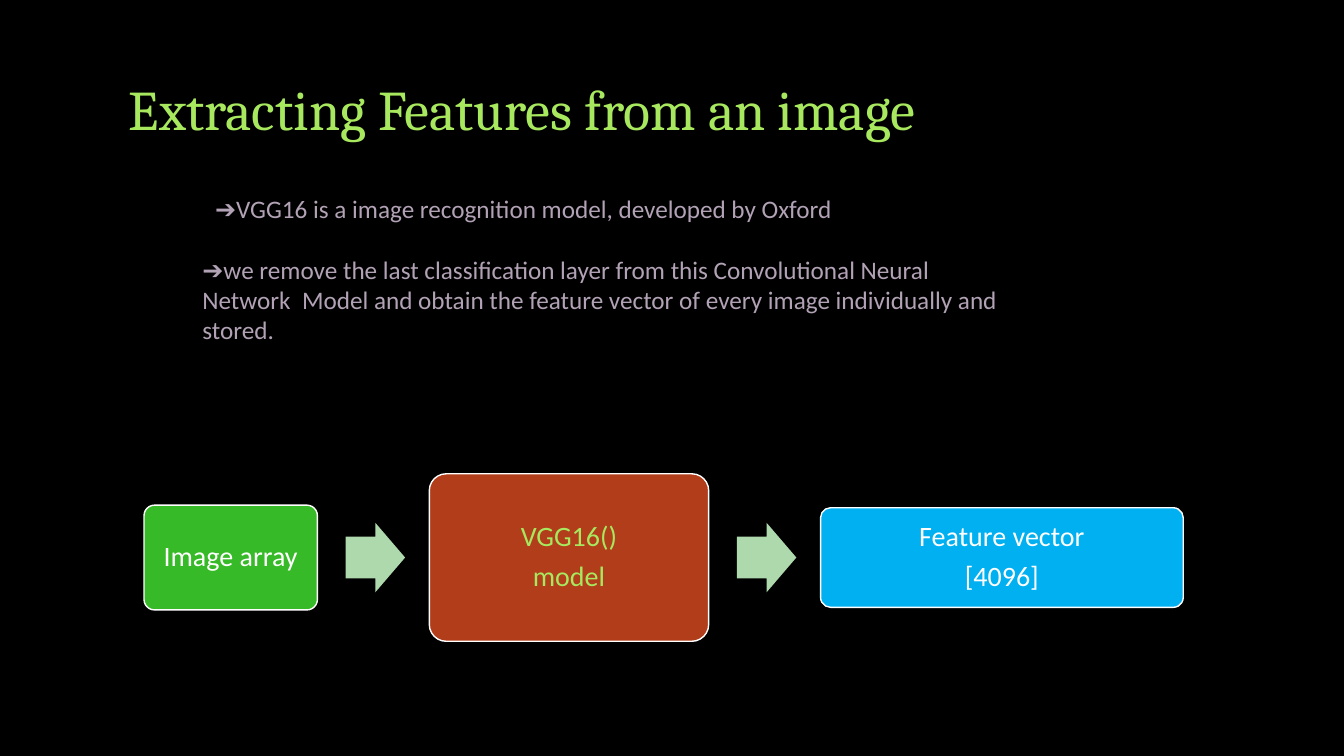
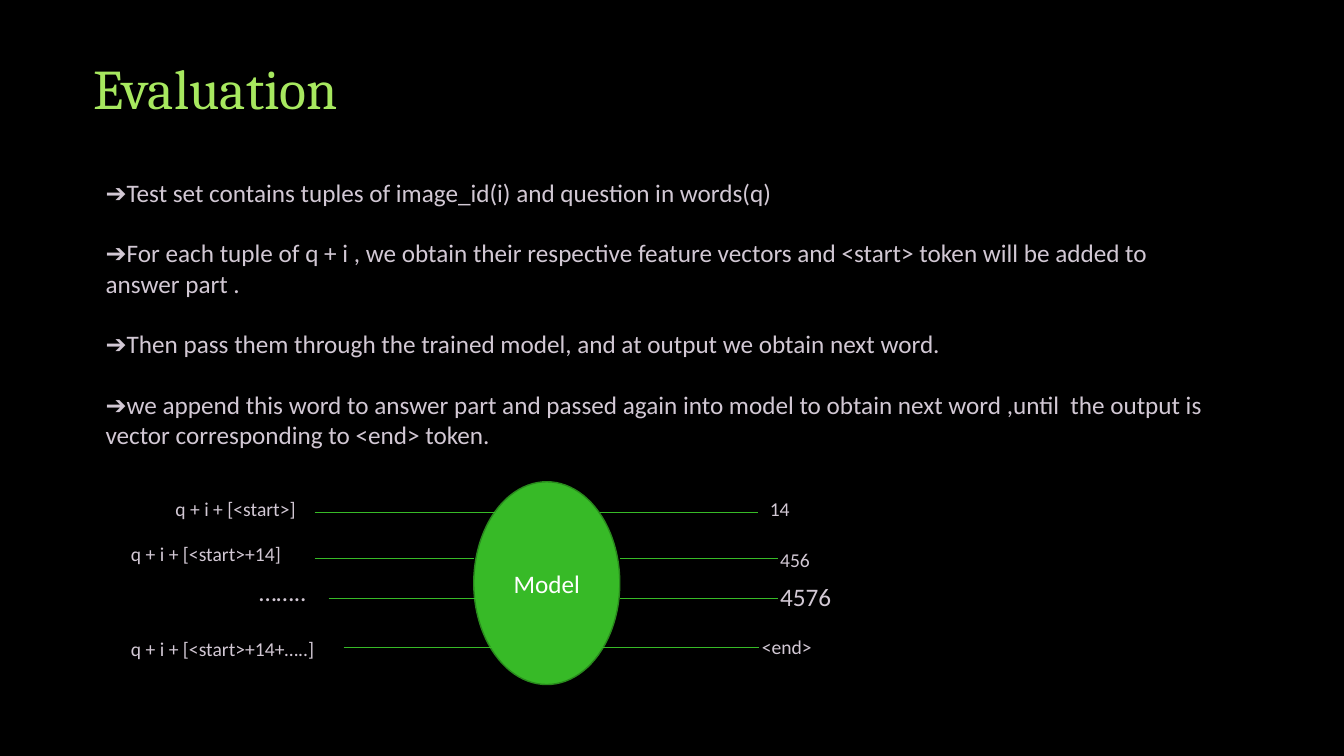
from lxml import etree
from pptx import Presentation
from pptx.dml.color import RGBColor
from pptx.enum.shapes import MSO_CONNECTOR, MSO_SHAPE
from pptx.enum.text import MSO_ANCHOR, PP_ALIGN
from pptx.oxml.ns import qn
from pptx.util import Cm, Pt

BLACK = RGBColor(0x00, 0x00, 0x00)
WHITE = RGBColor(0xFF, 0xFF, 0xFF)
LIME = RGBColor(0xA7, 0xE8, 0x5F)
GREEN = RGBColor(0x37, 0xBA, 0x27)
DARK_GREEN = RGBColor(0x29, 0x8A, 0x1D)
PALE_GREEN = RGBColor(0xAE, 0xD9, 0xAD)
RUST = RGBColor(0xB1, 0x3D, 0x1B)
BLUE = RGBColor(0x00, 0xB0, 0xF0)
MAUVE = RGBColor(0xB2, 0xA2, 0xB5)
PALE_MAUVE = RGBColor(0xD2, 0xC8, 0xD4)

BODY_FONT, TITLE_FONT = "Calibri", "Cambria"
BULLET = "➔"


# Shared helpers
def write(tf, lines, *, size=18, color=WHITE, font=BODY_FONT, align=PP_ALIGN.LEFT,
          spacing=None, after=0):
    """Fill a text frame with one paragraph per line."""
    tf.word_wrap = True
    for i, line in enumerate(lines):
        p = tf.paragraphs[0] if i == 0 else tf.add_paragraph()
        p.alignment, p.line_spacing, p.space_after = align, spacing, Pt(after)
        r = p.add_run()
        r.text = line
        r.font.size, r.font.name, r.font.color.rgb = Pt(size), font, color


def add_text(s, x, y, w, h, *lines, **fmt):
    tf = s.shapes.add_textbox(Cm(x), Cm(y), Cm(w), Cm(h)).text_frame
    write(tf, lines, **fmt)
    return tf


def add_shape(s, kind, x, y, w, h, fill, line=None):
    sp = s.shapes.add_shape(kind, Cm(x), Cm(y), Cm(w), Cm(h))
    sp.shadow.inherit = False
    sp.fill.solid()
    sp.fill.fore_color.rgb = fill
    if line is None:
        sp.line.fill.background()
    else:
        sp.line.color.rgb, sp.line.width = line, Pt(1)
    sp.text_frame.vertical_anchor = MSO_ANCHOR.MIDDLE
    return sp


def add_line(s, x1, x2, y):
    cx = s.shapes.add_connector(MSO_CONNECTOR.STRAIGHT, Cm(x1), Cm(y), Cm(x2), Cm(y))
    cx.line.color.rgb, cx.line.width = GREEN, Pt(0.5)
    etree.SubElement(cx._element.spPr, qn("a:effectLst"))


def add_title(s, x, y, w, text):
    add_text(s, x, y, w, 1.96, text, size=40, color=LIME, font=TITLE_FONT)


def add_bullets(s, x, y, w, h, color, *items):
    return add_text(s, x, y, w, h, *(BULLET + item for item in items),
                    color=color, after=21.6)


# Row of blocks joined by arrows, centred on one axis
def add_flow(s, x, y, h, blocks):
    arrow_w, arrow_h, gap_before, gap_after = 1.5, 1.75, 0.71, 0.61
    mid = y + h / 2
    for i, (lines, block_w, block_h, fill, color) in enumerate(blocks):
        if i:
            x += gap_before
            arrow = add_shape(s, MSO_SHAPE.RIGHT_ARROW, x, mid - arrow_h / 2,
                              arrow_w, arrow_h, PALE_GREEN)
            arrow.adjustments[0] = 0.6
            x += arrow_w + gap_after
        sp = add_shape(s, MSO_SHAPE.ROUNDED_RECTANGLE, x, mid - block_h / 2,
                       block_w, block_h, fill, WHITE)
        sp.adjustments[0] = 0.1
        tf = sp.text_frame
        tf.margin_left = tf.margin_right = tf.margin_top = tf.margin_bottom = Cm(0.2)
        write(tf, lines, size=20, color=color, align=PP_ALIGN.CENTER,
              spacing=0.9, after=7)
        x += block_w


# Model ellipse with labelled inputs on the left and outputs on the right
def add_model_diagram(s, x, y, rows):
    model = add_shape(s, MSO_SHAPE.OVAL, x + 8.89, y, 3.68, 5.11, GREEN, DARK_GREEN)
    write(model.text_frame, ["Model"], align=PP_ALIGN.CENTER)
    output_length = 3.99
    for line_y, (in_start, in_end), out_start, *labels in rows:
        add_line(s, x + in_start, x + in_end, y + line_y)
        add_line(s, x + out_start, x + out_start + output_length, y + line_y)
        for text, dx, dy, size in labels:
            add_text(s, x + dx, y + dy, 5.5, 0.86, text, size=size, color=PALE_MAUVE)


def features_slide(s):
    add_title(s, 3, 1.75, 23.62, "Extracting Features from an image")
    tf = add_bullets(
        s, 4.85, 4.75, 20.83, 4.11, MAUVE,
        "VGG16 is a image recognition model, developed by Oxford",
        "we remove the last classification layer from this Convolutional Neural "
        "Network  Model and obtain the feature vector of every image individually "
        "and stored.")
    tf.paragraphs[0]._p.get_or_add_pPr().set("indent", str(Cm(0.32)))
    add_flow(s, 3.63, 11.94, 4.22, [
        (["Image array"], 4.37, 2.64, GREEN, WHITE),
        (["VGG16()", "model"], 7.04, 4.22, RUST, LIME),
        (["Feature vector", "[4096]"], 9.14, 2.51, BLUE, WHITE),
    ])


def evaluation_slide(s):
    add_title(s, 2.11, 1.22, 7.75, "Evaluation")
    add_bullets(
        s, 2.41, 4.34, 28.7, 7.19, PALE_MAUVE,
        "Test set contains tuples of image_id(i) and question in words(q)",
        "For each tuple of q + i , we obtain their respective feature vectors and "
        "<start> token will be added to answer part .",
        "Then pass them through the trained model, and at output we obtain next word.",
        "we append this word to answer part and passed again into model to obtain "
        "next word ,until  the output is vector corresponding to <end> token.")
    # Line height, input line, output start, then labels (text, dx, dy, size)
    add_model_diagram(s, 3.05, 12.14, [
        (0.76, (4.88, 9.42), 12.07,
         ("q + i + [<start>]", 1.12, 0.25, 14), ("14", 16.1, 0.25, 14)),
        (1.93, (4.88, 8.89), 12.57,
         ("q + i + [<start>+14]", 0, 1.4, 14), ("456", 16.36, 1.55, 14)),
        (2.95, (5.23, 9.07), 12.57,
         ("……..", 3.23, 2.26, 18), ("4576", 16.36, 2.39, 18)),
        (4.18, (5.61, 9.42), 12.09,
         ("q + i + [<start>+14+…..]", 0, 3.78, 14), ("<end>", 15.9, 3.73, 14)),
    ])


def main():
    prs = Presentation()
    prs.slide_width, prs.slide_height = Cm(33.87), Cm(19.05)
    background = prs.slide_master.background.fill
    background.solid()
    background.fore_color.rgb = BLACK
    for build in (features_slide, evaluation_slide):
        build(prs.slides.add_slide(prs.slide_layouts[6]))
    prs.save("out.pptx")


if __name__ == "__main__":
    main()
